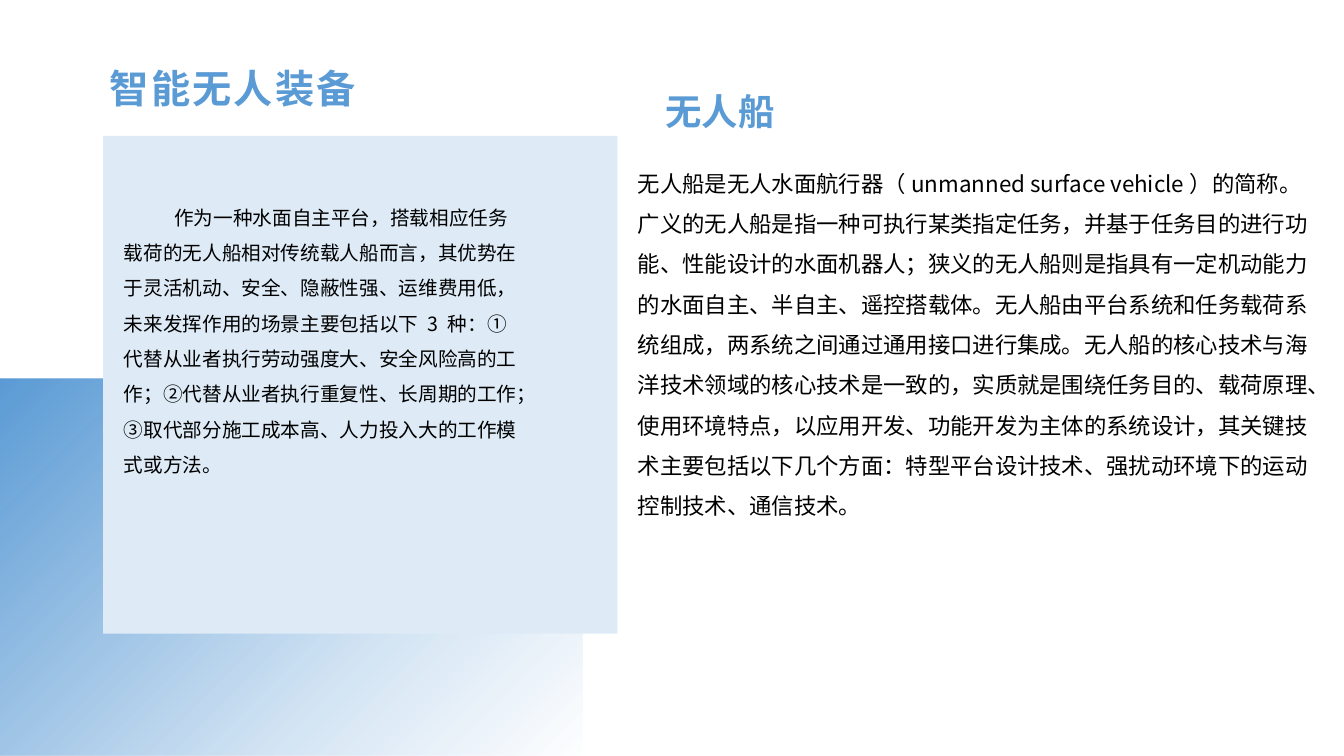
from dataclasses import dataclass

from lxml.etree import SubElement
from pptx import Presentation
from pptx.dml.color import RGBColor
from pptx.enum.shapes import MSO_SHAPE
from pptx.enum.text import MSO_ANCHOR, MSO_AUTO_SIZE, PP_ALIGN
from pptx.oxml import parse_xml
from pptx.oxml.ns import nsdecls, qn
from pptx.shapes.autoshape import Shape
from pptx.slide import Slide
from pptx.util import Pt

FONT = "Noto Sans CJK SC"
BLUE = RGBColor(0x5B, 0x9B, 0xD5)
PALE_BLUE = RGBColor(0xDE, 0xEB, 0xF7)
BLACK = RGBColor(0, 0, 0)


@dataclass(frozen=True)
class Area:
    left: float
    top: float
    width: float
    height: float


@dataclass(frozen=True)
class GradientStop:
    position: int
    opacity: int


@dataclass(frozen=True)
class TextBlock:
    area: Area
    text: str
    size: float
    color: RGBColor = BLACK
    bold: bool = False
    line_spacing: float = 1.0
    first_indent: float = 0


CORNER_AREA = Area(0, 270.7, 416.2, 269.3)
PANEL_AREA = Area(73.6, 97, 367.4, 355.6)
TITLE_AREA = Area(73.4, 41.8, 386.6, 42.5)
CORNER_STOPS = [GradientStop(0, 0), GradientStop(34, 27), GradientStop(100, 100)]

TEXT_BLOCKS = [
    TextBlock(
        Area(83.5, 136.1, 296.6, 242.6),
        "作为一种水面自主平台，搭载相应任务载荷的无人船相对传统载人船而言，其优势在于灵活机动、安全、"
        "隐蔽性强、运维费用低，未来发挥作用的场景主要包括以下 3 种：①代替从业者执行劳动强度大、"
        "安全风险高的工作；②代替从业者执行重复性、长周期的工作；③取代部分施工成本高、"
        "人力投入大的工作模式或方法。",
        14, line_spacing=1.5, first_indent=36,
    ),
    TextBlock(
        Area(450.7, 109.4, 495.4, 429.1),
        "无人船是无人水面航行器（unmanned surface vehicle）的简称。广义的无人船是指一种可执行某类指定任务，"
        "并基于任务目的进行功能、性能设计的水面机器人；狭义的无人船则是指具有一定机动能力的水面自主、"
        "半自主、遥控搭载体。无人船由平台系统和任务载荷系统组成，两系统之间通过通用接口进行集成。"
        "无人船的核心技术与海洋技术领域的核心技术是一致的，实质就是围绕任务目的、载荷原理、使用环境特点，"
        "以应用开发、功能开发为主体的系统设计，其关键技术主要包括以下几个方面：特型平台设计技术、"
        "强扰动环境下的运动控制技术、通信技术。",
        16, line_spacing=1.5,
    ),
    TextBlock(Area(470.2, 61.2, 389.5, 37.4), "无人船", 26, BLUE, bold=True),
]


def add_rectangle(page: Slide, area: Area) -> Shape:
    box = page.shapes.add_shape(
        MSO_SHAPE.RECTANGLE, Pt(area.left), Pt(area.top), Pt(area.width), Pt(area.height)
    )
    box.shadow.inherit = False
    box.line.fill.background()
    return box


def fill_from_corner(box: Shape, color: RGBColor, stops: list[GradientStop]) -> None:
    stop_xml = "".join(
        f'<a:gs pos="{stop.position * 1000}"><a:srgbClr val="{color}">'
        f'<a:alpha val="{stop.opacity * 1000}"/></a:srgbClr></a:gs>'
        for stop in stops
    )
    gradient = parse_xml(
        f'<a:gradFill {nsdecls("a")} rotWithShape="1"><a:gsLst>{stop_xml}</a:gsLst>'
        '<a:path path="circle"><a:fillToRect l="100000" t="100000"/></a:path></a:gradFill>'
    )
    box.element.spPr.find(qn("a:prstGeom")).addnext(gradient)


def write_text(
    box: Shape,
    text: str,
    *,
    size: float,
    color: RGBColor = BLACK,
    bold: bool = False,
    line_spacing: float = 1.0,
    first_indent: float = 0,
    letter_spacing: float = 0,
    anchor: MSO_ANCHOR = MSO_ANCHOR.TOP,
) -> None:
    frame = box.text_frame
    frame.word_wrap = True
    frame.auto_size = MSO_AUTO_SIZE.NONE
    frame.vertical_anchor = anchor
    frame.margin_left = frame.margin_right = Pt(5)
    frame.margin_top = frame.margin_bottom = Pt(2.5)
    para = frame.paragraphs[0]
    para.alignment = PP_ALIGN.LEFT
    para.line_spacing = line_spacing
    if first_indent:
        properties = para._p.get_or_add_pPr()
        properties.set("marL", "0")
        properties.set("indent", str(Pt(first_indent)))
    span = para.add_run()
    span.text = text
    span.font.name = FONT
    span.font.size = Pt(size)
    span.font.bold = bold
    span.font.color.rgb = color
    run_properties = span._r.get_or_add_rPr()
    run_properties.set("lang", "zh-CN")
    if letter_spacing:
        run_properties.set("spc", str(round(letter_spacing * 100)))
    SubElement(run_properties, qn("a:ea")).set("typeface", FONT)


def add_text_block(page: Slide, block: TextBlock) -> None:
    area = block.area
    box = page.shapes.add_textbox(
        Pt(area.left), Pt(area.top), Pt(area.width), Pt(area.height)
    )
    write_text(
        box, block.text, size=block.size, color=block.color, bold=block.bold,
        line_spacing=block.line_spacing, first_indent=block.first_indent,
    )


def add_title(page: Slide, text: str, area: Area) -> None:
    title = page.shapes.title
    title.left, title.top = Pt(area.left), Pt(area.top)
    title.width, title.height = Pt(area.width), Pt(area.height)
    write_text(
        title, text, size=28, color=BLUE, bold=True,
        letter_spacing=1.6, anchor=MSO_ANCHOR.MIDDLE,
    )


def main() -> None:
    deck = Presentation()
    deck.slide_width, deck.slide_height = Pt(960), Pt(540)
    page = deck.slides.add_slide(deck.slide_layouts[5])
    fill_from_corner(add_rectangle(page, CORNER_AREA), BLUE, CORNER_STOPS)
    panel = add_rectangle(page, PANEL_AREA)
    panel.fill.solid()
    panel.fill.fore_color.rgb = PALE_BLUE
    add_title(page, "智能无人装备", TITLE_AREA)
    for block in TEXT_BLOCKS:
        add_text_block(page, block)
    deck.save("out.pptx")


if __name__ == "__main__":
    main()
